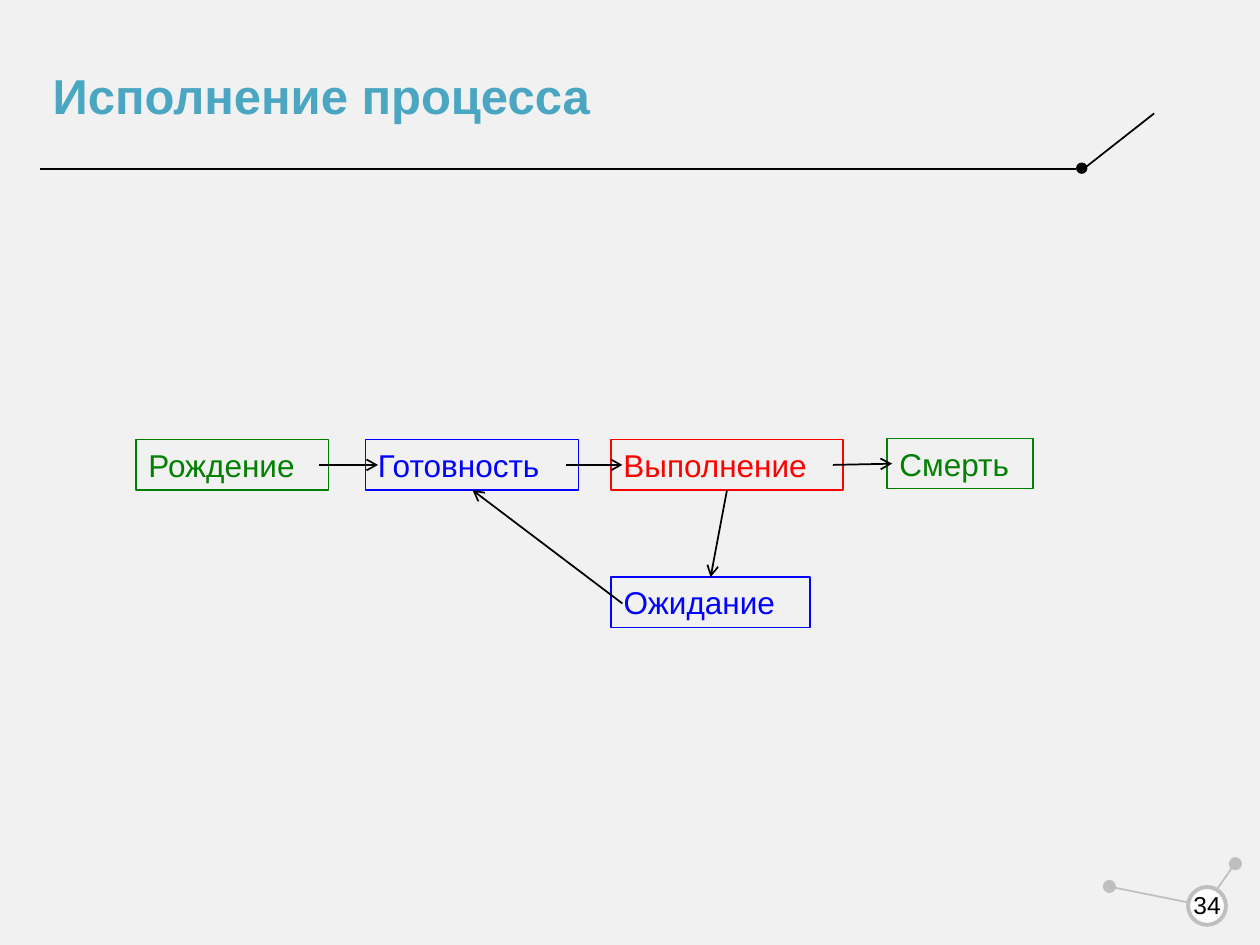
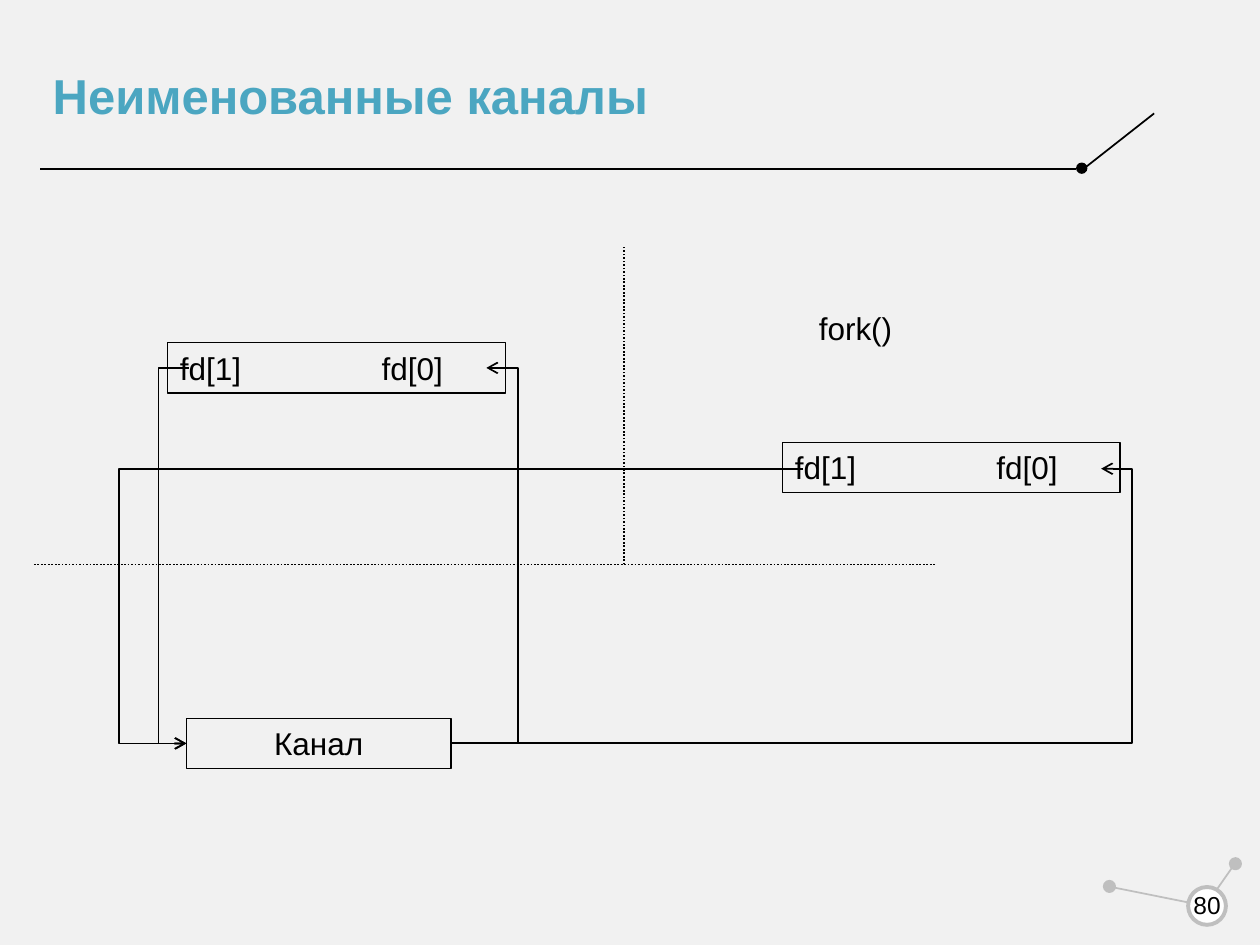
import pptx
import pptx.util
import pptx.dml.color
import pptx.enum.dml
import pptx.enum.shapes
import pptx.enum.text
import pptx.oxml
import pptx.oxml.ns
import lxml.etree

Inches, Pt = pptx.util.Inches, pptx.util.Pt
rgb = pptx.dml.color.RGBColor.from_string
qn = pptx.oxml.ns.qn
SHAPE = pptx.enum.shapes.MSO_SHAPE
CONN = pptx.enum.shapes.MSO_CONNECTOR
ALIGN = pptx.enum.text.PP_ALIGN
ANCHOR = pptx.enum.text.MSO_ANCHOR
DOTTED = pptx.enum.dml.MSO_LINE.ROUND_DOT

FONT = "Arial"
BACK, TITLE, BLACK, GRAY, WHITE = "F1F1F1", "4BA6C1", "000000", "BFBFBF", "FFFFFF"
GREEN, BLUE, RED = "008000", "0000FF", "FF0000"
BOX_H = 0.4


def add_shape(s, kind, at, fill=None, line=None, width=0.75, text="", size=18,
              color=BLACK, bold=False, align=ALIGN.LEFT, anchor=ANCHOR.TOP, inset=0.1):
    sp = s.shapes.add_shape(kind, *[Inches(v) for v in at])
    sp.shadow.inherit = False
    if fill:
        sp.fill.solid()
        sp.fill.fore_color.rgb = rgb(fill)
    else:
        sp.fill.background()
    if line:
        sp.line.color.rgb = rgb(line)
        sp.line.width = Pt(width)
    else:
        sp.line.fill.background()
    if text:
        tf = sp.text_frame
        tf.word_wrap = True
        tf.vertical_anchor = anchor
        tf.margin_left = tf.margin_right = Inches(inset)
        tf.margin_top = tf.margin_bottom = Inches(inset / 2)
        p = tf.paragraphs[0]
        p.alignment = align
        r = p.add_run()
        r.text = text
        r.font.name, r.font.size, r.font.bold = FONT, Pt(size), bold
        r.font.color.rgb = rgb(color)
    return sp


def add_line(s, start, end, color=BLACK, arrow=False, dash=None, via_x=None):
    """Straight line, or an elbow whose upright part stands at via_x."""
    kind = CONN.STRAIGHT if via_x is None else CONN.ELBOW
    cx = s.shapes.add_connector(kind, *[Inches(v) for v in start + end])
    cx.line.color.rgb = rgb(color)
    cx.line.width = Pt(1)
    if dash:
        cx.line.dash_style = dash
    spPr = cx._element.spPr
    if arrow:
        lxml.etree.SubElement(cx.line._get_or_add_ln(), qn("a:tailEnd"), type="arrow")
    if via_x is not None:
        share = (via_x - start[0]) / (end[0] - start[0])
        av = spPr.find(qn("a:prstGeom")).get_or_add_avLst()
        lxml.etree.SubElement(av, qn("a:gd"), name="adj1", fmla=f"val {round(share * 100000)}")
    lxml.etree.SubElement(spPr, qn("a:effectLst"))


prs = pptx.Presentation()
prs.slide_width, prs.slide_height = Inches(10), Inches(7.5)

# Shared frame: background, title, rule and page number
slides = []
for title, number in [("Исполнение процесса", "34"), ("Неименованные каналы", "80")]:
    s = prs.slides.add_slide(prs.slide_layouts[6])
    slides.append(s)
    s.background.fill.solid()
    s.background.fill.fore_color.rgb = rgb(BACK)

    add_line(s, (0.32, 1.34), (8.54, 1.34))
    add_shape(s, SHAPE.OVAL, (8.54, 1.29, 0.09, 0.09), fill=BLACK)
    add_line(s, (8.6, 1.34), (9.16, 0.9))

    for x, y in [(9.76, 6.81), (8.76, 6.99)]:
        add_shape(s, SHAPE.OVAL, (x, y, 0.09, 0.09), fill=GRAY, line=GRAY, width=1)
    add_line(s, (9.79, 6.87), (9.65, 7.07), GRAY)
    add_line(s, (8.82, 7.04), (9.52, 7.18), GRAY)
    add_shape(s, SHAPE.OVAL, (9.43, 7.04, 0.3, 0.3), fill=WHITE, line=GRAY, width=2.25)

    add_shape(s, SHAPE.RECTANGLE, (0.32, 0.28, 8.22, 0.95), text=title, size=28,
              color=TITLE, bold=True, anchor=ANCHOR.MIDDLE)
    add_shape(s, SHAPE.RECTANGLE, (9.37, 6.98, 0.42, 0.4), text=number, size=14,
              align=ALIGN.CENTER, anchor=ANCHOR.MIDDLE, inset=0)

# Slide 1: process states
s = slides[0]
for state, x, y, w, color in [
    ("Рождение", 1.08, 3.49, 1.53, GREEN),
    ("Готовность", 2.9, 3.49, 1.69, BLUE),
    ("Выполнение", 4.85, 3.49, 1.84, RED),
    ("Ожидание", 4.85, 4.58, 1.58, BLUE),
    ("Смерть", 7.04, 3.48, 1.16, GREEN),
]:
    add_shape(s, SHAPE.RECTANGLE, (x, y, w, BOX_H), line=color, text=state, color=color)

# Transitions between states
for start, end in [
    ((2.53, 3.69), (3, 3.69)),
    ((4.49, 3.69), (4.94, 3.69)),
    ((6.61, 3.69), (7.08, 3.68)),
    ((5.77, 3.89), (5.64, 4.58)),
    ((4.94, 4.79), (3.75, 3.89)),
]:
    add_line(s, start, end, arrow=True)

# Slide 2: descriptors of both processes, split by dotted borders
s = slides[1]
add_line(s, (0.27, 4.48), (7.42, 4.48), dash=DOTTED)
add_line(s, (4.95, 4.48), (4.95, 1.96), dash=DOTTED)
for x, y in [(1.33, 2.72), (6.21, 3.51)]:
    sp = add_shape(s, SHAPE.RECTANGLE, (x, y, 2.68, BOX_H), line=BLACK, text="fd[1]\tfd[0]")
    pPr = sp.text_frame.paragraphs[0]._p.get_or_add_pPr()
    tabs = lxml.etree.SubElement(pPr, qn("a:tabLst"))
    lxml.etree.SubElement(tabs, qn("a:tab"), pos=str(Inches(1.6)), algn="l")
add_shape(s, SHAPE.RECTANGLE, (6.4, 2.4, 0.82, 0.38), text="fork()")

# Pipe, with writes into its left side and reads from its right side
add_shape(s, SHAPE.RECTANGLE, (1.48, 5.7, 2.1, BOX_H), line=BLACK, text="Канал",
          align=ALIGN.CENTER)
pipe_in, pipe_out = (1.48, 5.9), (3.58, 5.9)
for start, end, via_x in [
    ((1.5, 2.92), pipe_in, 1.26),
    ((6.37, 3.72), pipe_in, 0.94),
    (pipe_out, (3.86, 2.92), 4.11),
    (pipe_out, (8.74, 3.72), 8.99),
]:
    add_line(s, start, end, arrow=True, via_x=via_x)

prs.save("out.pptx")
